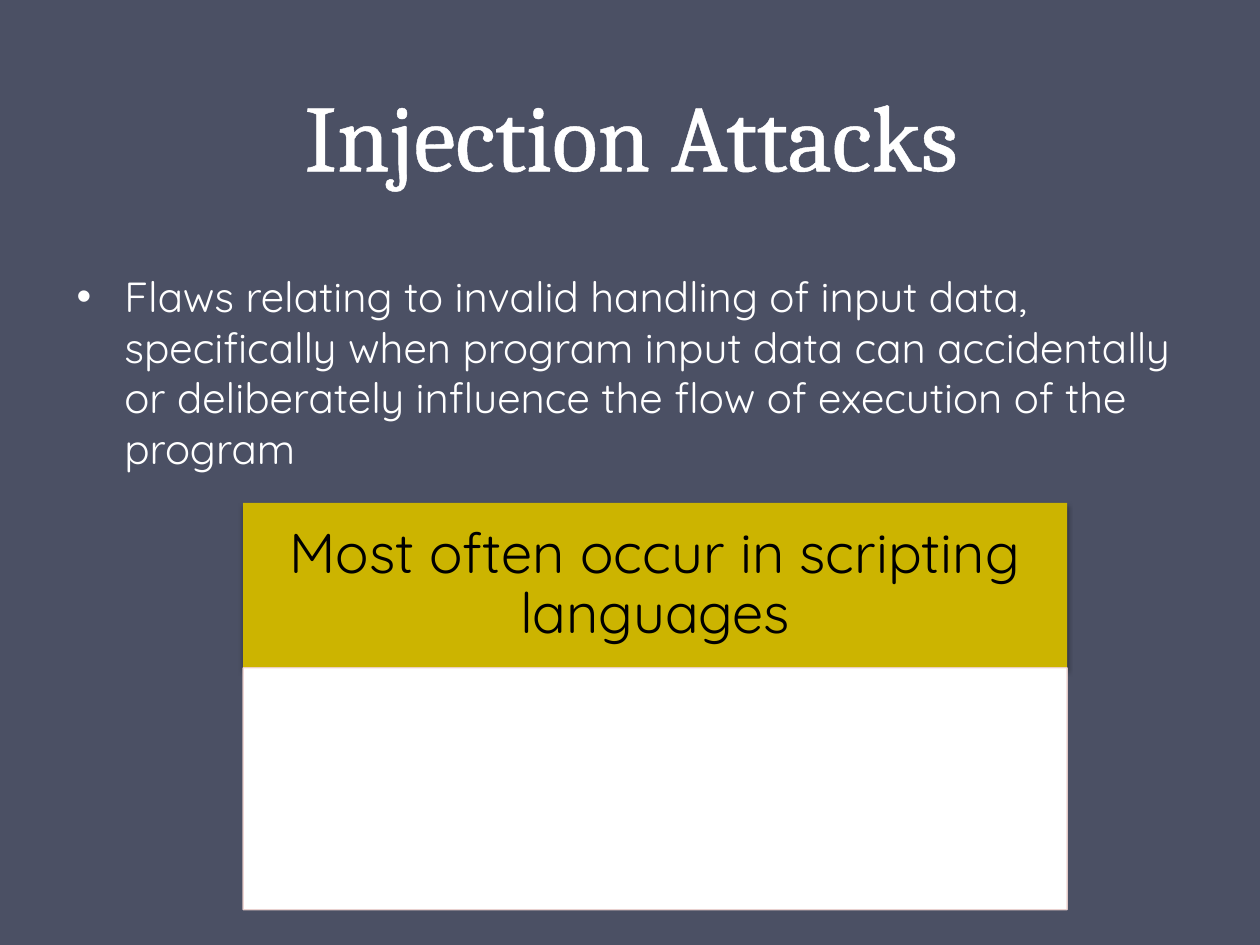
from lxml import etree
from pptx import Presentation
from pptx.dml.color import RGBColor
from pptx.enum.shapes import MSO_SHAPE
from pptx.enum.text import MSO_ANCHOR, PP_ALIGN
from pptx.oxml import parse_xml
from pptx.oxml.ns import nsdecls, qn
from pptx.util import Inches, Pt

RECTANGLE = MSO_SHAPE.RECTANGLE
BOTTOM, MIDDLE, TOP = MSO_ANCHOR.BOTTOM, MSO_ANCHOR.MIDDLE, MSO_ANCHOR.TOP
CENTER = PP_ALIGN.CENTER

SLATE = RGBColor(0x4B, 0x50, 0x64)
GOLD = RGBColor(0xCC, 0xB4, 0x00)
PINK = RGBColor(0xEE, 0xD3, 0xD0)
WHITE = RGBColor(0xFF, 0xFF, 0xFF)
BLACK = RGBColor(0x00, 0x00, 0x00)


def write(shape, text, font_name, size, color, anchor):
    frame = shape.text_frame
    frame.word_wrap = True
    frame.vertical_anchor = anchor
    para = frame.paragraphs[0]
    para.text = text
    para.font.name = font_name
    para.font.size = Pt(size)
    para.font.color.rgb = color
    return para


def add_panel(top, height, color):
    panel = slide.shapes.add_shape(
        RECTANGLE, Inches(1.93), Inches(top), Inches(6.54), Inches(height))
    panel.shadow.inherit = False
    panel.fill.solid()
    panel.fill.fore_color.rgb = color
    return panel


deck = Presentation()
deck.slide_width, deck.slide_height = Inches(10), Inches(7.5)
slide = deck.slides.add_slide(deck.slide_layouts[5])
slide.background.fill.solid()
slide.background.fill.fore_color.rgb = SLATE

# Title with a thin white outline
title = slide.shapes.title
title.left, title.top = Inches(0.51), Inches(-0.19)
title.width, title.height = Inches(9), Inches(1.75)
para = write(title, "Injection Attacks", "Cambria", 54, WHITE, BOTTOM)
para.alignment = CENTER
para.line_spacing = Pt(58)
para.runs[0].font._element.insert(0, parse_xml(
    f'<a:ln {nsdecls("a")} w="{Pt(1.45)}"><a:solidFill>'
    f'<a:srgbClr val="{WHITE}"/></a:solidFill></a:ln>'))

# Definition bullet
body = slide.shapes.add_textbox(Inches(0.51), Inches(2.1), Inches(9), Inches(2.25))
bullet_para = body.text_frame.paragraphs[0]
properties = bullet_para._p.get_or_add_pPr()
properties.set("marL", str(Inches(0.38)))
properties.set("indent", str(Inches(-0.38)))
etree.SubElement(properties, qn("a:buFont"), typeface="Arial")
etree.SubElement(properties, qn("a:buChar"), char="•")
write(body, "Flaws relating to invalid handling of input data, specifically when "
      "program input data can accidentally or deliberately influence the flow "
      "of execution of the program", "Quicksand", 24, WHITE, TOP)

# Gold heading panel with a soft shadow
heading = add_panel(3.99, 1.31, GOLD)
heading.line.fill.background()
heading._element.spPr.find(qn("a:effectLst")).append(parse_xml(
    f'<a:outerShdw {nsdecls("a")} blurRad="{Pt(3.1)}" dist="{Pt(1.8)}" '
    f'dir="5400000" rotWithShape="0"><a:srgbClr val="{BLACK}">'
    '<a:alpha val="35000"/></a:srgbClr></a:outerShdw>'))
frame = heading.text_frame
frame.margin_left = frame.margin_right = Inches(0.25)
frame.margin_top = frame.margin_bottom = Inches(0.14)
para = write(heading, "Most often occur in scripting languages",
             "Quicksand", 32, BLACK, MIDDLE)
para.alignment = CENTER
para.line_spacing = 0.9

# Empty white panel below the heading
panel = add_panel(5.3, 1.92, WHITE)
panel.line.color.rgb = PINK
panel.line.width = Pt(0.75)
line_color = panel._element.spPr.find(qn("a:ln")).find(".//" + qn("a:srgbClr"))
etree.SubElement(line_color, qn("a:alpha"), val="90000")

deck.save("out.pptx")
